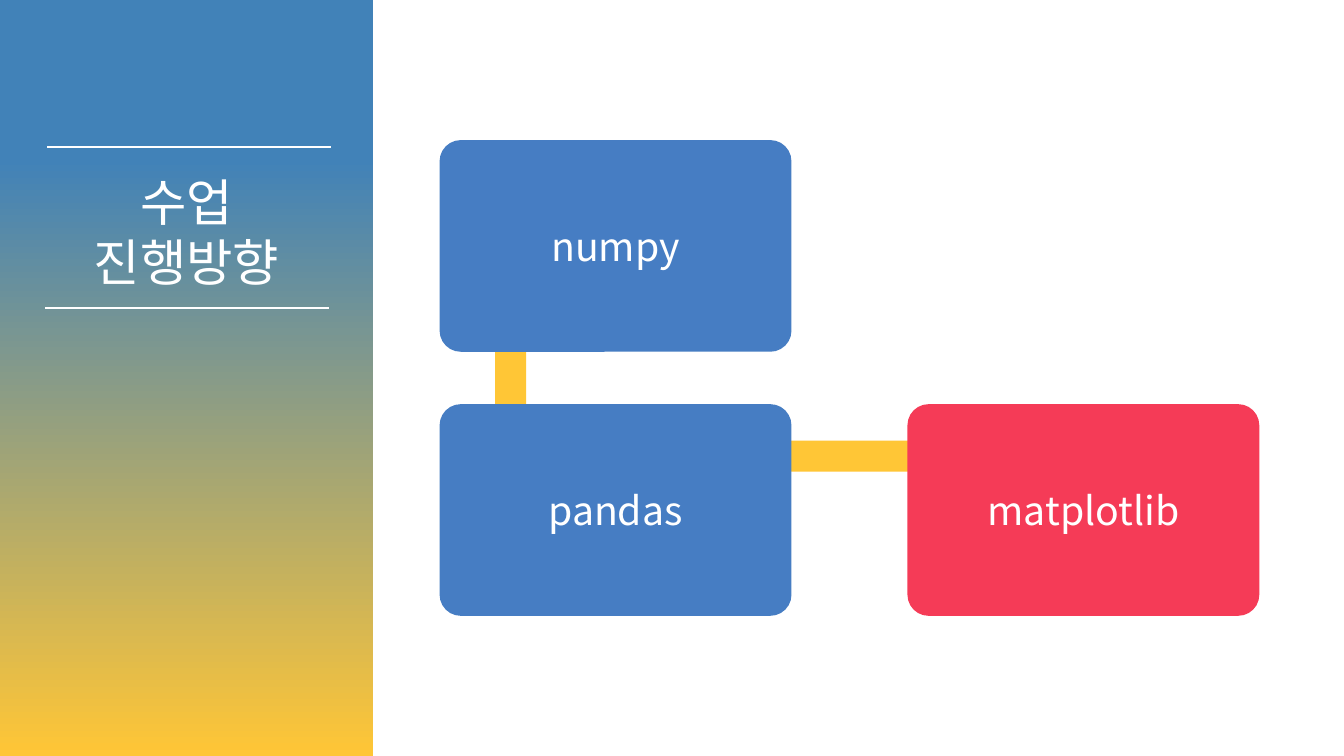
import dataclasses

import pptx
import pptx.dml.color
import pptx.enum.shapes
import pptx.enum.text
import pptx.oxml.ns
import pptx.util
from lxml import etree

Inches = pptx.util.Inches
ShapeKind = pptx.enum.shapes.MSO_SHAPE


@dataclasses.dataclass(frozen=True)
class Theme:
    """Colours, font and type sizes of the slide."""
    white: str = "FFFFFF"
    panel_blue: str = "4182B8"
    yellow: str = "FFC636"
    card_blue: str = "467DC3"
    red: str = "F53B57"
    font: str = "Noto Sans CJK KR"
    title_size: float = 36
    title_leading: float = 42.5
    card_size: float = 28
    rule_width: float = 1.5


THEME = Theme()


def rgb(colour):
    """Return a colour object for a hex string."""
    return pptx.dml.color.RGBColor.from_string(colour)


def write(paragraph, text, size):
    """Add one centred white run in the theme font."""
    paragraph.alignment = pptx.enum.text.PP_ALIGN.CENTER
    run = paragraph.add_run()
    run.text = text
    run.font.size = pptx.util.Pt(size)
    run.font.color.rgb = rgb(THEME.white)
    run.font.name = THEME.font
    east_asian = etree.SubElement(run.font._element, pptx.oxml.ns.qn("a:ea"))
    east_asian.set("typeface", THEME.font)


def add_block(slide, kind, box, colour):
    """Add a borderless filled shape in a box of inches."""
    shape = slide.shapes.add_shape(kind, *map(Inches, box))
    shape.shadow.inherit = False
    shape.fill.solid()
    shape.fill.fore_color.rgb = rgb(colour)
    shape.line.fill.background()
    return shape


def add_rule(slide, left, top, width):
    """Add a thin white horizontal line."""
    rule = slide.shapes.add_connector(
        pptx.enum.shapes.MSO_CONNECTOR.STRAIGHT,
        Inches(left), Inches(top), Inches(left + width), Inches(top))
    rule.line.color.rgb = rgb(THEME.white)
    rule.line.width = pptx.util.Pt(THEME.rule_width)
    etree.SubElement(rule.element.spPr, pptx.oxml.ns.qn("a:effectLst"))
    return rule


def add_title(slide, box, lines):
    """Place the title placeholder and write its lines."""
    title = slide.shapes.title
    title.left, title.top, title.width, title.height = map(Inches, box)
    frame = title.text_frame
    frame.word_wrap = True
    frame.auto_size = pptx.enum.text.MSO_AUTO_SIZE.NONE
    frame.vertical_anchor = pptx.enum.text.MSO_ANCHOR.TOP
    frame.margin_top = Inches(0.1)
    frame.margin_bottom = 0
    for index, line in enumerate(lines):
        paragraph = frame.add_paragraph() if index else frame.paragraphs[0]
        paragraph.line_spacing = pptx.util.Pt(THEME.title_leading)
        paragraph.space_before = pptx.util.Pt(0)
        write(paragraph, line, THEME.title_size)
    return title


def add_sidebar(slide, box, lines):
    """Draw the gradient panel with the title between two rules."""
    left, top, width, height = box
    panel = add_block(slide, ShapeKind.RECTANGLE, box, THEME.panel_blue)
    panel.fill.gradient()
    panel.fill.gradient_angle = 270
    stops = ((0.21, THEME.panel_blue), (1, THEME.yellow))
    for stop, (position, colour) in zip(panel.fill.gradient_stops, stops):
        stop.position = position
        stop.color.rgb = rgb(colour)
    upper_rule = add_rule(slide, left + 0.47, top + 1.46, 2.81)
    lower_rule = add_rule(slide, left + 0.45, top + 3.06, 2.81)
    title = add_title(slide, (left, top + 1.61, width, 1.31), lines)
    for part in (panel, upper_rule, lower_rule):
        title.element.addprevious(part.element)


def add_card(slide, box, text, colour):
    """Draw one rounded card with a centred label."""
    card = add_block(slide, ShapeKind.ROUNDED_RECTANGLE, box, colour)
    card.adjustments[0] = 0.1
    frame = card.text_frame
    frame.word_wrap = True
    frame.vertical_anchor = pptx.enum.text.MSO_ANCHOR.MIDDLE
    write(frame.paragraphs[0], text, THEME.card_size)


def add_flow(slide, box):
    """Draw the three cards and the bars that link them."""
    left, top, width, height = box
    card_width, card_height, bar = 3.49, 2.1, 0.31
    right, lower = left + width - card_width, top + height - card_height
    bars = ((left + 0.55, top + 0.53, bar, 2.6),
            (left + 0.71, lower + 0.36, 4.63, bar))
    for bar_box in bars:
        add_block(slide, ShapeKind.RECTANGLE, bar_box, THEME.yellow)
    cards = ((left, top, "numpy", THEME.card_blue),
             (left, lower, "pandas", THEME.card_blue),
             (right, lower, "matplotlib", THEME.red))
    for card_left, card_top, text, colour in cards:
        add_card(slide, (card_left, card_top, card_width, card_height), text, colour)


def main():
    """Build and save the slide."""
    presentation = pptx.Presentation()
    presentation.slide_width = Inches(13.33)
    presentation.slide_height = Inches(7.5)
    slide = presentation.slides.add_slide(presentation.slide_layouts[5])
    add_sidebar(slide, (0, 0, 3.7, 7.5), ("수업", "진행방향"))
    add_flow(slide, (4.36, 1.39, 8.13, 4.72))
    presentation.save("out.pptx")


if __name__ == "__main__":
    main()
